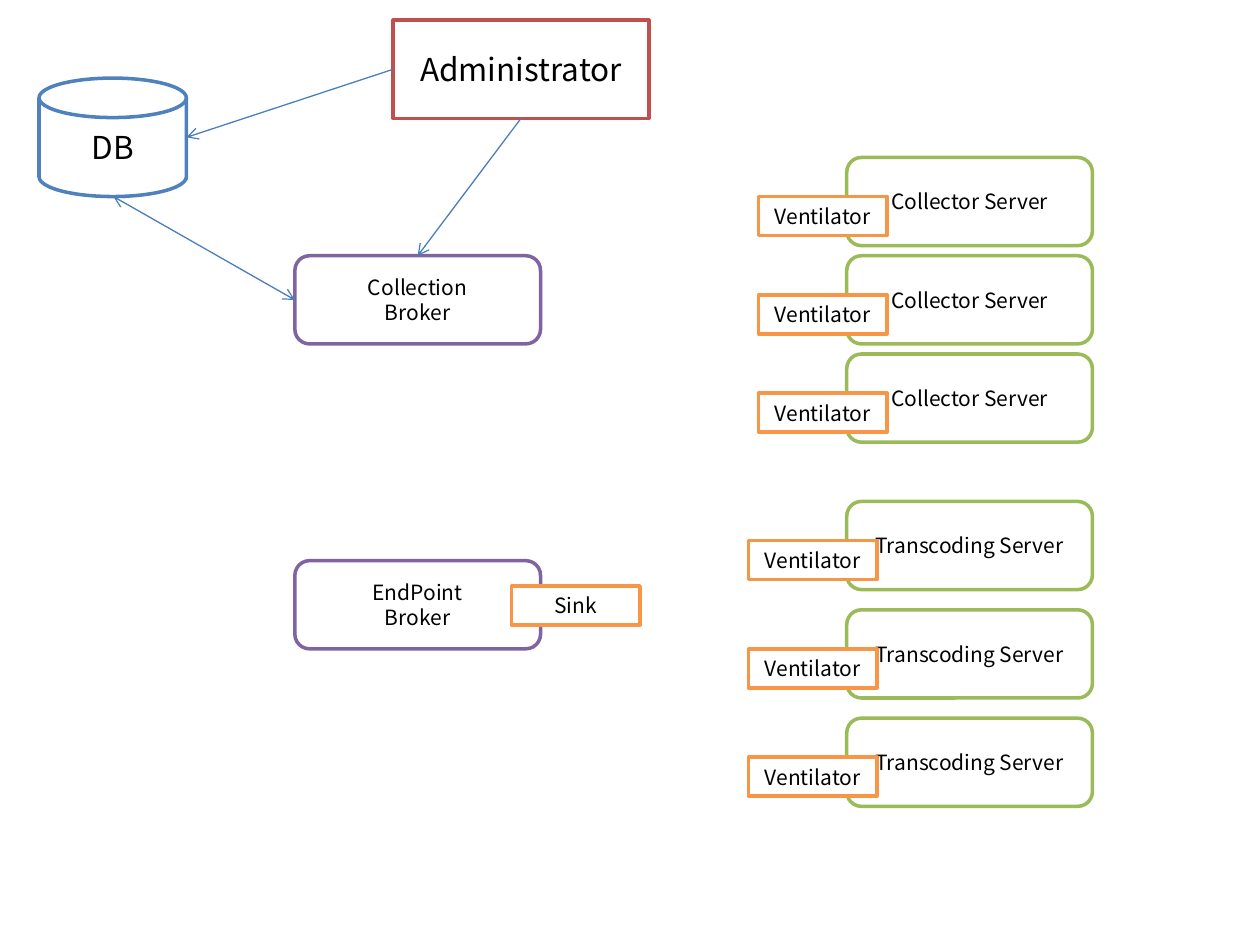
from pptx import Presentation, util as u
from pptx.dml.color import RGBColor
from pptx.enum import shapes, text
from pptx.oxml.ns import qn
from lxml import etree

WHITE = RGBColor(0xFF, 0xFF, 0xFF)
BLACK = RGBColor(0, 0, 0)
BLUE = RGBColor(0x4F, 0x81, 0xBD)
ARROW = RGBColor(0x4B, 0x7E, 0xBC)
RED = RGBColor(0xC0, 0x50, 0x4D)
GREEN = RGBColor(0x9B, 0xBB, 0x59)
PURPLE = RGBColor(0x80, 0x64, 0xA2)
ORANGE = RGBColor(0xF7, 0x96, 0x46)
KIND = shapes.MSO_SHAPE
TOP, LEFT, BOTTOM = 0, 1, 2


class Board:
    font = "Noto Sans CJK KR"

    def __init__(self, slide):
        self.slide = slide

    def box(self, words, left, top, width, height, color, kind=KIND.RECTANGLE, size=12):
        area = [u.Inches(n) for n in (left, top, width, height)]
        shape = self.slide.shapes.add_shape(kind, *area)
        shape.shadow.inherit = False
        shape.fill.solid()
        shape.fill.fore_color.rgb = WHITE
        shape.line.color.rgb = color
        shape.line.width = u.Pt(2)
        frame = shape.text_frame
        frame.word_wrap = True
        frame.vertical_anchor = text.MSO_ANCHOR.MIDDLE
        para = frame.paragraphs[0]
        para.alignment = text.PP_ALIGN.CENTER
        for row, line in enumerate(words.split("\n")):
            if row:
                para.add_line_break()
            run = para.add_run()
            run.text = line
            run.font.name = self.font
            run.font.size = u.Pt(size)
            run.font.color.rgb = BLACK
            fonts = run.font._element
            etree.SubElement(fonts, qn("a:ea")).set("typeface", self.font)
        return shape

    def node(self, words, left, top, color):
        return self.box(words, left, top, 1.95, 0.7, color, KIND.ROUNDED_RECTANGLE)

    def tag(self, words, left, top):
        return self.box(words, left, top, 1.02, 0.31, ORANGE)

    def arrow(self, start, end, both=False):
        line = self.slide.shapes.add_connector(shapes.MSO_CONNECTOR.STRAIGHT, 0, 0, 0, 0)
        (first, site), (last, goal) = start, end
        if first is None:
            line.begin_x, line.begin_y = [u.Inches(n) for n in site]
        else:
            line.begin_connect(first, site)
        if last is None:
            line.end_x, line.end_y = [u.Inches(n) for n in goal]
        else:
            line.end_connect(last, goal)
        line.line.color.rgb = ARROW
        line.line.width = u.Pt(0.75)
        stroke = line.line._get_or_add_ln()
        for end in ("a:headEnd", "a:tailEnd") if both else ("a:tailEnd",):
            etree.SubElement(stroke, qn(end)).set("type", "arrow")
        etree.SubElement(line._element.spPr, qn("a:effectLst"))


deck = Presentation()
deck.slide_width, deck.slide_height = u.Inches(10), u.Inches(7.5)
board = Board(deck.slides.add_slide(deck.slide_layouts[6]))

broker = board.node("Collection\nBroker", 2.34, 2.03, PURPLE)
board.box("DB", 0.31, 0.62, 1.17, 0.94, BLUE, KIND.FLOWCHART_MAGNETIC_DISK, 18)
admin = board.box("Administrator", 3.12, 0.16, 2.03, 0.78, RED, size=18)

board.arrow((broker, LEFT), (None, (0.9, 1.56)), both=True)
board.arrow((admin, LEFT), (None, (1.48, 1.09)))
board.arrow((admin, BOTTOM), (broker, TOP))

board.node("EndPoint\nBroker", 2.34, 4.45, PURPLE)
board.tag("Sink", 4.06, 4.65)

for name, top, step, edge in (
    ("Collector Server", 1.25, 0.78, 6.02),
    ("Transcoding Server", 3.98, 0.86, 5.94),
):
    for row in range(3):
        place = top + row * step
        board.node(name, 6.72, place, GREEN)
        board.tag("Ventilator", edge, place + 0.31)

deck.save("out.pptx")
